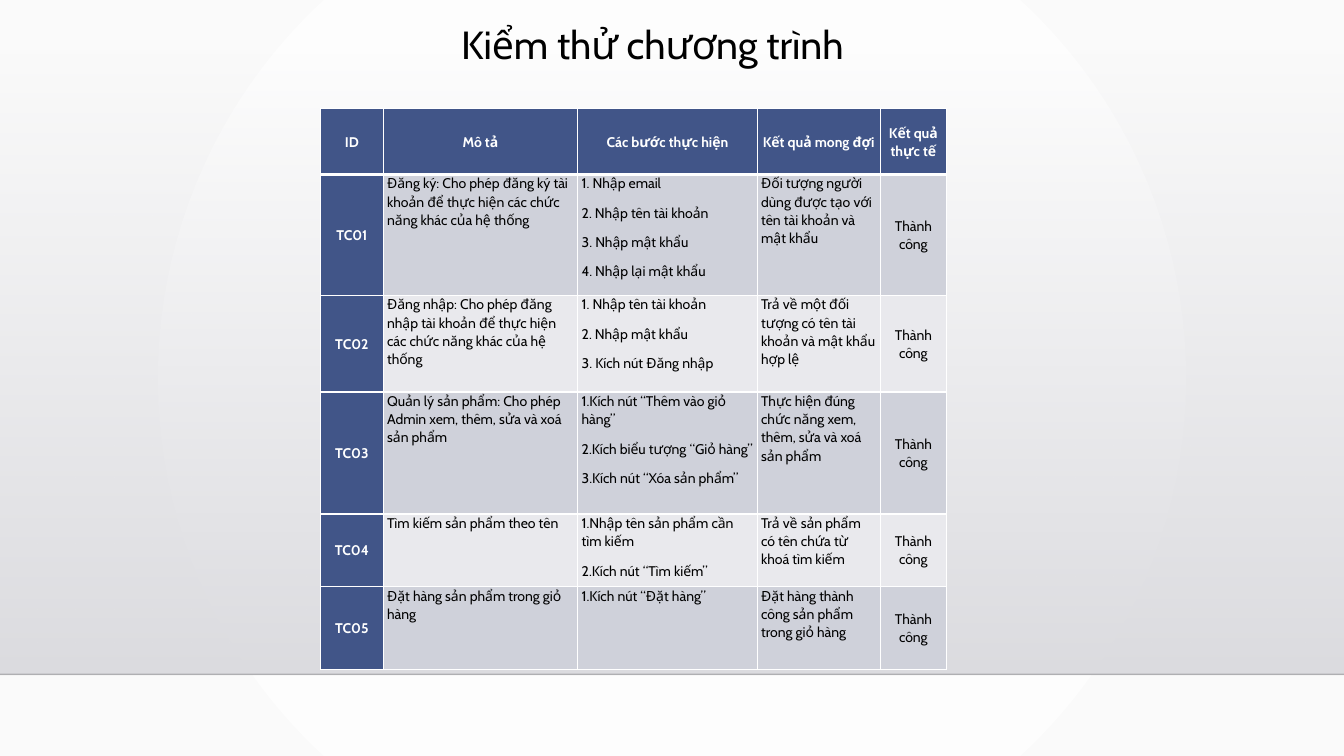
from lxml import etree
from pptx import Presentation
from pptx.dml.color import RGBColor
from pptx.enum.shapes import MSO_CONNECTOR, MSO_SHAPE
from pptx.enum.text import MSO_ANCHOR, PP_ALIGN
from pptx.oxml.ns import qn
from pptx.util import Inches, Pt

COLORS = {
    "white": "FFFFFF", "paper": "FAFAFA", "black": "000000", "rule": "000001",
    "haze_top": "DCDCE0", "haze_bottom": "DEDEE2",
    "header": "415588", "band_dark": "CFD1DA", "band_light": "E9E9ED",
}
FONT = "Cabin"
COL_WIDTHS = [0.62, 1.93, 1.78, 1.22, 0.66]
ROW_HEIGHTS = [0.65, 1.2, 0.96, 1.21, 0.72, 0.82]
HEADERS = ["ID", "Mô tả", "Các bước thực hiện", "Kết quả mong đợi", "Kết quả thực tế"]
RESULT = "Thành công"

# Description, steps, expected result
TEST_CASES = [
    ("Đăng ký: Cho phép đăng ký tài khoản để thực hiện các chức năng khác của hệ thống",
     ["1. Nhập email", "2. Nhập tên tài khoản", "3. Nhập mật khẩu", "4. Nhập lại mật khẩu"],
     "Đối tượng người dùng được tạo với tên tài khoản và mật khẩu"),
    ("Đăng nhập: Cho phép đăng nhập tài khoản để thực hiện các chức năng khác của hệ thống",
     ["1. Nhập tên tài khoản", "2. Nhập mật khẩu", "3. Kích nút Đăng nhập"],
     "Trả về một đối tượng có tên tài khoản và mật khẩu hợp lệ"),
    ("Quản lý sản phẩm: Cho phép Admin xem, thêm, sửa và xoá sản phẩm",
     ["1.Kích nút “Thêm vào giỏ hàng”", "2.Kích biểu tượng “Giỏ hàng”",
      "3.Kích nút “Xóa sản phẩm”"],
     "Thực hiện đúng chức năng xem, thêm, sửa và xoá sản phẩm"),
    ("Tìm kiếm sản phẩm theo tên",
     ["1.Nhập tên sản phẩm cần tìm kiếm", "2.Kích nút “Tìm kiếm”"],
     "Trả về sản phẩm có tên chứa từ khoá tìm kiếm"),
    ("Đặt hàng sản phẩm trong giỏ hàng",
     ["1.Kích nút “Đặt hàng”"],
     "Đặt hàng thành công sản phẩm trong giỏ hàng"),
]


def rgb(name):
    return RGBColor.from_string(COLORS[name])


def set_alpha(color_el, percent):
    etree.SubElement(color_el, qn("a:alpha")).set("val", str(percent * 1000))


class SlideBuilder:
    def __init__(self, s):
        self.s = s

    def gradient(self, fill, start, end):
        fill.gradient()
        for stop, name, position in zip(fill.gradient_stops, (start, end), (0, 1)):
            stop.color.rgb = rgb(name)
            stop.position = position

    def background(self, start, end):
        self.gradient(self.s.background.fill, start, end)
        grad = self.s.element.find(".//" + qn("p:bgPr")).find(qn("a:gradFill"))
        grad.remove(grad.find(qn("a:lin")))
        radial = etree.SubElement(grad, qn("a:path"))
        radial.set("path", "circle")
        center = etree.SubElement(radial, qn("a:fillToRect"))
        for side in "ltrb":
            center.set(side, "50000")

    def fading_band(self, x, y, w, h, start, end):
        sp = self.s.shapes.add_shape(MSO_SHAPE.RECTANGLE, Inches(x), Inches(y), Inches(w), Inches(h))
        sp.shadow.inherit = False
        sp.line.fill.background()
        self.gradient(sp.fill, start, end)
        sp.fill.gradient_angle = 270
        set_alpha(sp.element.spPr.find(".//" + qn("a:srgbClr")), 0)

    def line(self, x1, y1, x2, y2, color, width, opacity):
        cn = self.s.shapes.add_connector(
            MSO_CONNECTOR.STRAIGHT, Inches(x1), Inches(y1), Inches(x2), Inches(y2))
        cn.line.color.rgb = rgb(color)
        cn.line.width = Pt(width)
        sp_pr = cn.element.spPr
        set_alpha(sp_pr.find(".//" + qn("a:srgbClr")), opacity)
        etree.SubElement(sp_pr, qn("a:effectLst"))

    def paragraph(self, p, text, size, color, align, spacing, bold=False):
        p.text = text
        p.alignment = align
        p.line_spacing = spacing
        p.font.name = FONT
        p.font.size = Pt(size)
        p.font.bold = bold
        p.font.color.rgb = rgb(color)

    def title(self, x, y, w, h, text):
        tf = self.s.shapes.add_textbox(Inches(x), Inches(y), Inches(w), Inches(h)).text_frame
        tf.word_wrap = True
        self.paragraph(tf.paragraphs[0], text, 28, "black", PP_ALIGN.CENTER, 0.9)

    def borders(self, cell, bottom):
        tc_pr = cell._tc.get_or_add_tcPr()
        for i, (side, width) in enumerate(zip("LRTB", (1, 1, 1, bottom))):
            ln = etree.Element(qn("a:ln" + side))
            ln.set("w", str(Pt(width)))
            solid = etree.SubElement(ln, qn("a:solidFill"))
            etree.SubElement(solid, qn("a:srgbClr")).set("val", COLORS["white"])
            tc_pr.insert(i, ln)

    def cell(self, cell, lines, fill, color, bold, centered, bottom):
        cell.fill.solid()
        cell.fill.fore_color.rgb = rgb(fill)
        cell.margin_left = cell.margin_right = Inches(0.04)
        cell.margin_top = cell.margin_bottom = 0
        cell.vertical_anchor = MSO_ANCHOR.MIDDLE if centered else MSO_ANCHOR.TOP
        align = PP_ALIGN.CENTER if centered else PP_ALIGN.LEFT
        tf = cell.text_frame
        for i, text in enumerate(lines):
            p = tf.add_paragraph() if i else tf.paragraphs[0]
            self.paragraph(p, text, 10, color, align, 1.07, bold)
            p.space_after = Pt(8)
        self.borders(cell, bottom)

    def table(self, x, y, rows):
        table = self.s.shapes.add_table(
            len(rows), len(COL_WIDTHS), Inches(x), Inches(y),
            Inches(sum(COL_WIDTHS)), Inches(sum(ROW_HEIGHTS))).table
        table.first_col = True
        for column, width in zip(table.columns, COL_WIDTHS):
            column.width = Inches(width)
        for r, (row, height) in enumerate(zip(rows, ROW_HEIGHTS)):
            table.rows[r].height = Inches(height)
            for c, lines in enumerate(row):
                heading = r == 0 or c == 0
                fill = "header" if heading else "band_dark" if r % 2 else "band_light"
                self.cell(table.cell(r, c), lines, fill, "white" if heading else "black",
                          heading, heading or c == len(row) - 1, 1 if r else 3)


def main():
    prs = Presentation()
    prs.slide_width, prs.slide_height = Inches(13.33), Inches(7.5)
    slide = SlideBuilder(prs.slides.add_slide(prs.slide_layouts[6]))

    # Backdrop
    slide.background("white", "paper")
    slide.fading_band(0, 0.51, 13.33, 6.18, "haze_top", "haze_bottom")
    slide.line(0, 6.69, 13.33, 6.69, "rule", 1, 20)

    # Title
    slide.title(1.22, 0.21, 10.5, 0.64, "Kiểm thử chương trình")

    # Test case table
    rows = [[[header] for header in HEADERS]]
    for number, (description, steps, expected) in enumerate(TEST_CASES, 1):
        rows.append([[f"TC{number:02}"], [description], steps, [expected], [RESULT]])
    slide.table(3.18, 1.08, rows)

    prs.save("out.pptx")


if __name__ == "__main__":
    main()
